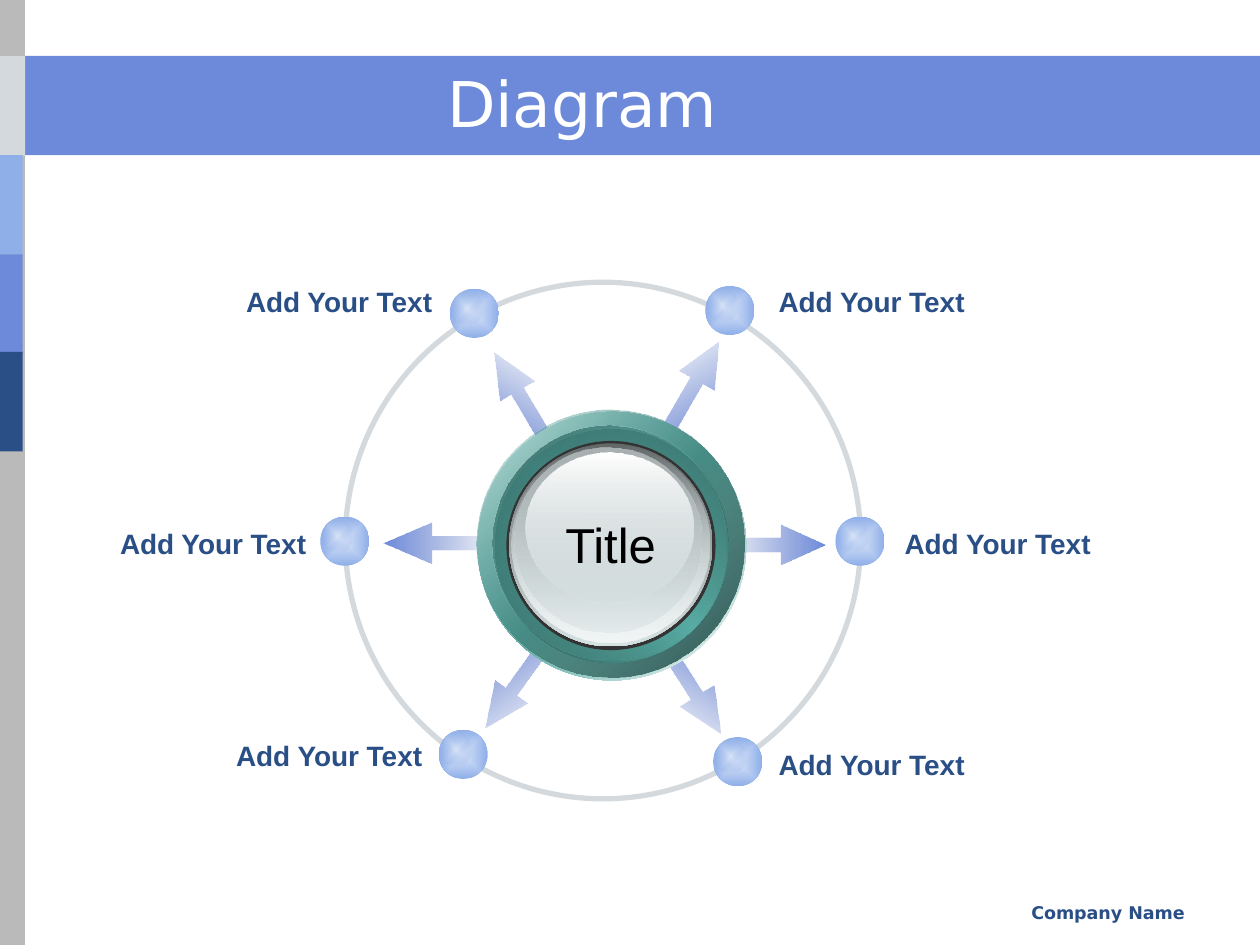
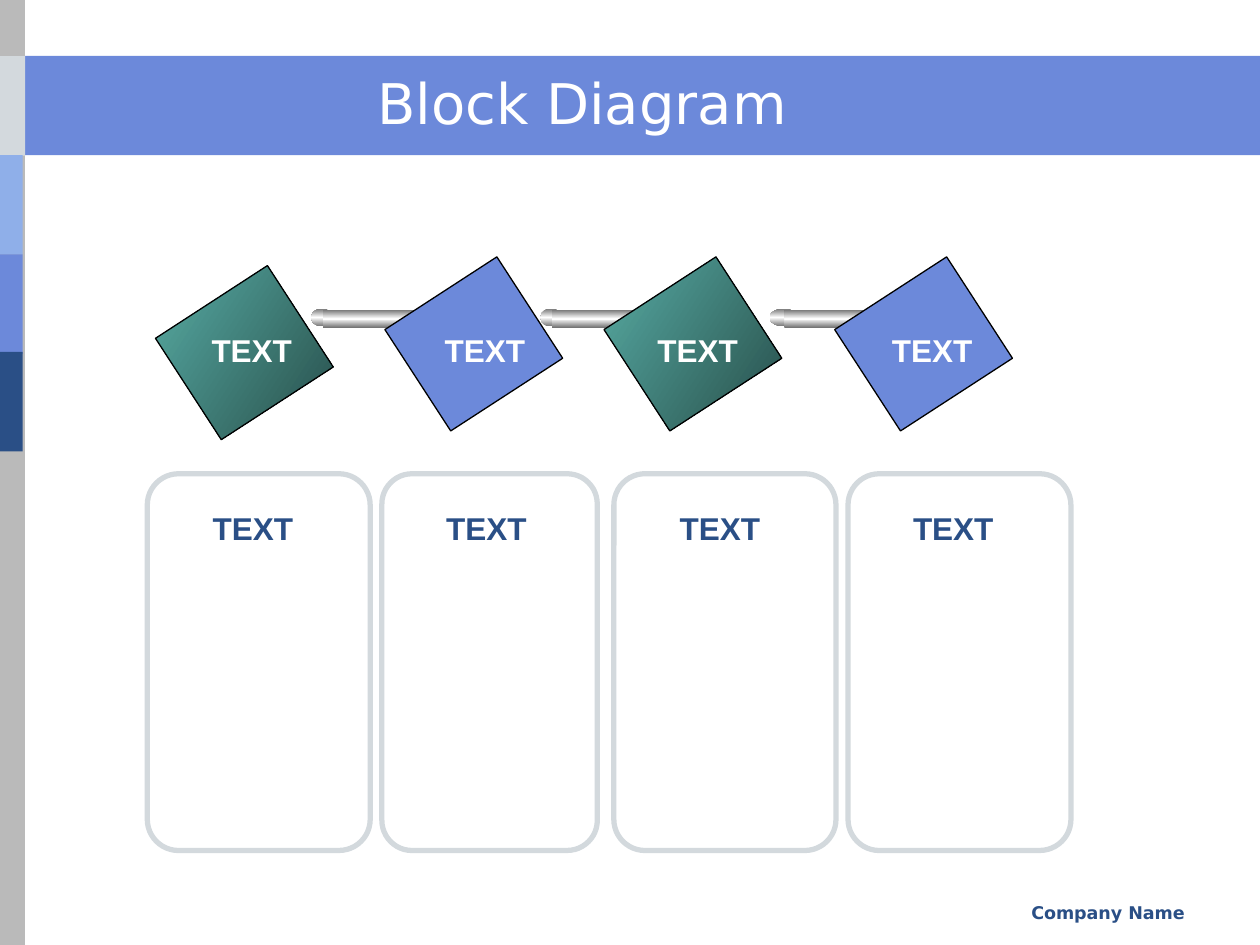
"""Build a radial diagram slide and a block diagram slide."""
import dataclasses
import itertools

import lxml.etree
import pptx
import pptx.dml.color
import pptx.enum.shapes
import pptx.enum.text
import pptx.oxml.ns
import pptx.util

Pt = pptx.util.Pt
Kind = pptx.enum.shapes.MSO_SHAPE
Align = pptx.enum.text.PP_ALIGN


@dataclasses.dataclass(frozen=True)
class Theme:
    blue: str = "6C89DA"
    sky: str = "8FAFE9"
    navy: str = "2A4F86"
    dusk: str = "607AC2"
    ice: str = "D9E4F8"
    gray: str = "BABABA"
    pale: str = "D3D9DD"
    mist: str = "D6E1E2"
    teal: str = "57ABA3"
    pine: str = "284F4B"
    moss: str = "2F5D58"
    steel: str = "767676"
    white: str = "FFFFFF"
    black: str = "000000"
    coal: str = "333333"
    head: str = "DejaVu Sans"
    body: str = "Arial"
    small: int = 10
    label: int = 16
    block: int = 18
    hub: int = 28


T = Theme()

BAND = (0, 32, 720, 56.7)
SIDE = (-0.7, 0, 15, 540)
TABS = [(0, 32, T.pale), (-1.4, 88.6, T.sky), (-1.4, 145.4, T.blue), (-1.4, 201, T.navy)]
FOOT = "Company Name"

WHEEL = {"title": "Diagram", "size": 36, "hub": "Title"}
RING = (197.3, 161.3, 294.5, 295.2)
ARROWS = [
    (363.6, 211, 62.6, 299.6),
    (363.6, 381, 62.6, 57.8),
    (267.1, 216.7, 62.6, 239.5),
    (264.2, 378.7, 62.6, 125.6),
    (409, 299.5, 62.6, 0),
    (219, 298.8, 67.7, 180),
]
SPOKES = [
    ((257, 165), (131, 159.1), "Add Your Text", Align.RIGHT),
    ((183, 295.2), (59, 297.4), "Add Your Text", Align.RIGHT),
    ((250.6, 417), (125.3, 418.3), "Add Your Text", Align.RIGHT),
    ((403, 163.4), (437.8, 159.1), "Add Your Text", Align.LEFT),
    ((477.4, 295.2), (509.8, 297.4), "Add Your Text", Align.LEFT),
    ((407.5, 421.2), (437.8, 423.4), "Add Your Text", Align.LEFT),
]
DISCS = [
    ((273, 235.4, 153.4, 153.4), [(0, T.white), (50, T.teal), (100, T.white)], 45),
    ((272.2, 234, 153.4, 153.4), [(0, T.teal, 32), (100, T.pine)], 45),
    ((283, 245.5, 133.2, 133.2), [(0, T.moss), (50, T.teal), (100, T.moss)], 315),
    ((281.5, 243.4, 133.2, 133.2), [(0, "376D68"), (100, T.teal, 0)], 45),
    ((289.4, 252, 119.5, 119.5), T.coal, 0),
    ((291, 253.4, 116, 116), [(0, "636869"), (100, T.mist)], 90),
    ((292.3, 254.2, 113, 113), [(0, T.mist, 0), (100, "F1F5F5")], 90),
    ((293.8, 255.6, 107.3, 105.8), [(0, "AAB2B3"), (100, T.mist, 48)], 90),
    ((300.2, 258.5, 95.8, 85.7), [(0, T.white), (100, T.mist, 38)], 90),
]

CHAIN = {"title": "Block Diagram", "size": 32}
CARDS = [(84.2, 127.4, "TEXT"), (218.2, 123.1, "TEXT"),
         (350.8, 126.9, "TEXT"), (484.6, 127.4, "TEXT")]
TILES = [(105.1, 163.4, 113.8, "TEXT"), (236.2, 158.4, 247, "TEXT"),
         (361.4, 158.4, 368.6, "TEXT"), (493.2, 158.4, 502.6, "TEXT")]
RODS = [1, 1, 1.3]
METAL = [(0, T.steel), (50, T.white), (100, T.steel)]
PARTS = [
    (Kind.OVAL, 0, 176.4, 12.2, 10.1, None),
    (Kind.RECTANGLE, 6.5, 177.1, 59, 10.1, None),
    (Kind.OVAL, 60.5, 177.1, 10.8, 9.4, (T.white, 1)),
    (Kind.OVAL, 66.2, 180, 2.9, 2.9, None),
]


def rgb(code):
    return pptx.dml.color.RGBColor.from_string(code)


def node(root, tag, **attrs):
    name = pptx.oxml.ns.qn("a:" + tag)
    return lxml.etree.SubElement(root, name, {k: str(v) for k, v in attrs.items()})


def blend(shape, stops, turn):
    """Fill with a linear blend, or from the centre when turn is None."""
    shape.fill.background()
    props = shape.element.spPr
    grad = node(props, "gradFill", rotWithShape=0)
    row = node(grad, "gsLst")
    for pos, code, *alpha in stops:
        tint = node(node(row, "gs", pos=pos * 1000), "srgbClr", val=code)
        if alpha:
            node(tint, "alpha", val=alpha[0] * 1000)
    if turn is None:
        path = node(grad, "path", path="rect")
        node(path, "fillToRect", l=50000, t=50000, r=50000, b=50000)
    else:
        node(grad, "lin", ang=round(turn * 60000), scaled=0)
    props.replace(props.find(pptx.oxml.ns.qn("a:noFill")), grad)


def draw(slide, kind, box, fill=None, turn=0, line=None, spin=0):
    shape = slide.shapes.add_shape(kind, *map(Pt, box))
    shape.shadow.inherit = False
    shape.rotation = spin
    if fill is None:
        shape.fill.background()
    elif isinstance(fill, str):
        shape.fill.solid()
        shape.fill.fore_color.rgb = rgb(fill)
    else:
        blend(shape, fill, turn)
    if line:
        shape.line.color.rgb = rgb(line[0])
        shape.line.width = Pt(line[1])
    else:
        shape.line.fill.background()
    return shape


def write(slide, box, text, size, code, face=T.body, bold=True, align=Align.LEFT, wrap=False):
    frame = slide.shapes.add_textbox(*map(Pt, box)).text_frame
    frame.word_wrap = wrap
    frame.text = text
    para = frame.paragraphs[0]
    para.alignment = align
    font = para.font
    font.name, font.size, font.bold = face, Pt(size), bold
    font.color.rgb = rgb(code)
    return frame


def start(deck, title, size):
    slide = deck.slides.add_slide(deck.slide_layouts[6])
    draw(slide, Kind.RECTANGLE, BAND, T.blue)
    draw(slide, Kind.RECTANGLE, SIDE, T.gray)
    for left, top, code in TABS:
        draw(slide, Kind.RECTANGLE, (left, top, 14.4, 56.9), code)
    write(slide, (455.8, 512, 228.2, 18), FOOT, T.small, T.navy, T.head,
          align=Align.RIGHT, wrap=True)
    frame = write(slide, (41.8, 36, 581.8, 44.6), title, size, T.white, T.head,
                  bold=False, align=Align.CENTER, wrap=True)
    frame.vertical_anchor = pptx.enum.text.MSO_ANCHOR.MIDDLE
    return slide


def wheel(deck):
    slide = start(deck, WHEEL["title"], WHEEL["size"])
    for left, top, wide, spin in ARROWS:
        arrow = draw(slide, Kind.RIGHT_ARROW, (left, top, wide, 23),
                     [(0, T.dusk, 0), (100, T.blue)], (360 - spin) % 360, spin=spin)
        arrow.adjustments[0] = 0.35
        arrow.adjustments[1] = 1.11 * wide / 62.6
    draw(slide, Kind.OVAL, RING, line=(T.pale, 3))
    for (left, top), *_ in SPOKES:
        draw(slide, Kind.OVAL, (left, top, 28.1, 28.1), [(0, T.ice), (100, T.sky)], None)
        draw(slide, Kind.OVAL, (left + 1.3, top + 2.2, 17.3, 18),
             [(0, T.ice), (100, T.sky, 0)], None)
    for box, fill, turn in DISCS:
        draw(slide, Kind.OVAL, box, fill, turn)
    write(slide, (315.4, 290.2, 67, 41), WHEEL["hub"], T.hub, T.black,
          bold=False, align=Align.CENTER)
    for _, spot, text, align in SPOKES:
        write(slide, (*spot, 123.1, 26.6), text, T.label, T.navy, align=align)


def chain(deck):
    slide = start(deck, CHAIN["title"], CHAIN["size"])
    for left, wide, _ in CARDS:
        card = draw(slide, Kind.ROUNDED_RECTANGLE, (left, 270.7, wide, 215.3),
                    line=(T.pale, 3))
        card.adjustments[0] = 0.14
    fills = itertools.cycle([[(0, T.teal), (100, T.pine)], T.blue])
    pairs = itertools.zip_longest(TILES, RODS)
    for i, (((left, top, *_), scale), fill) in enumerate(zip(pairs, fills)):
        draw(slide, Kind.RECTANGLE, (left, top, 69.1, 76.3), fill, 33,
             (T.black, 0.75), spin=57)
        if scale:
            for kind, step, high, wide, tall, line in PARTS:
                box = (177.8 + 131 * i + step * scale, high, wide * scale, tall)
                draw(slide, kind, box, METAL, 90, line)
    for _, _, left, text in TILES:
        write(slide, (left, 185.8, 60.5, 28.8), text, T.block, T.white)
    for i, (_, _, text) in enumerate(CARDS):
        write(slide, (114.5 + 133.4 * i, 287.3, 60.5, 28.8), text, T.block, T.navy)


def main():
    deck = pptx.Presentation()
    deck.slide_width, deck.slide_height = Pt(720), Pt(540)
    wheel(deck)
    chain(deck)
    deck.save("out.pptx")


if __name__ == "__main__":
    main()
